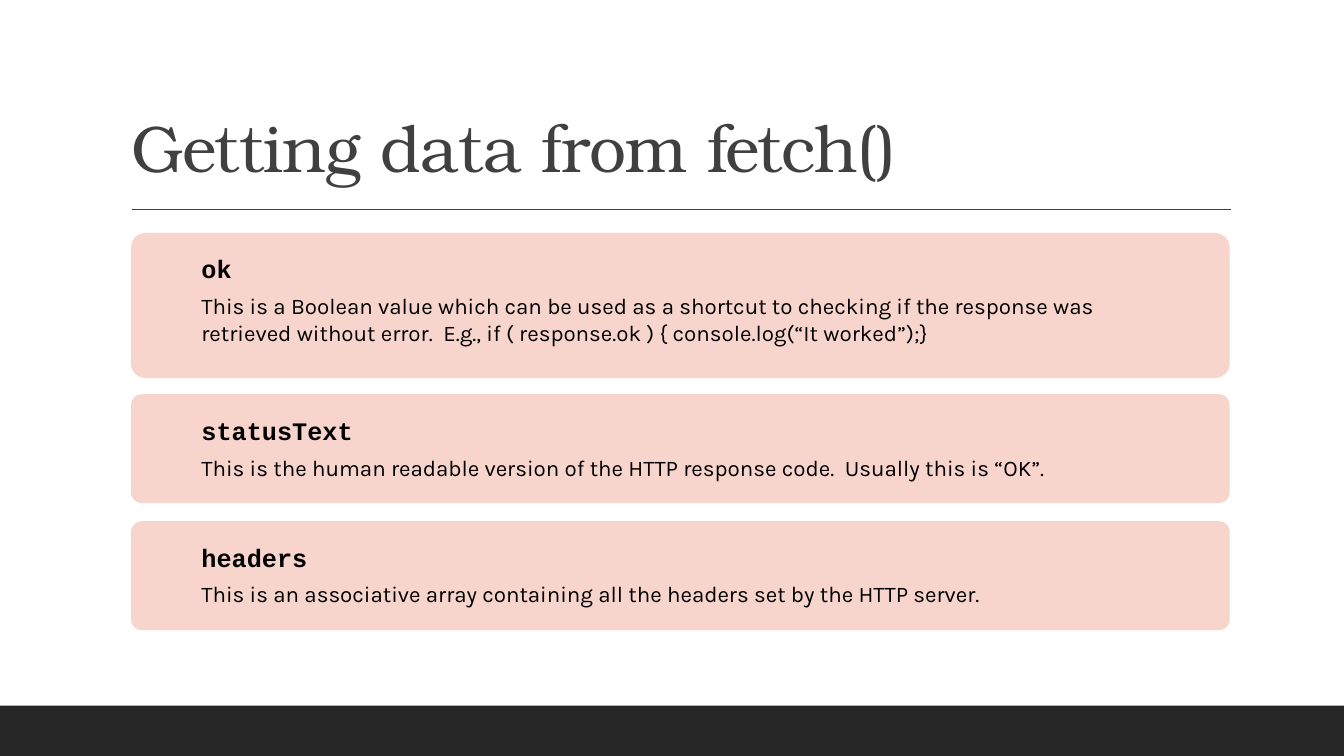
from dataclasses import dataclass

from lxml import etree
from pptx import Presentation
from pptx.dml.color import RGBColor
from pptx.enum import shapes, text
from pptx.oxml import ns
from pptx.util import Pt


@dataclass(frozen=True)
class Theme:
    ink: str = "000000"
    title: str = "404040"
    card: str = "F8D5CC"
    band: str = "262626"
    title_font: str = "TeX Gyre Bonum"
    name_font: str = "Courier New"
    body_font: str = "Karla"
    title_size: float = 47
    name_size: float = 18
    body_size: float = 16


THEME = Theme()
WIDTH, HEIGHT = 960, 540

# Response property, description, card top and card height
CARDS = [
    ("ok",
     "This is a Boolean value which can be used as a shortcut to checking if the "
     "response was retrieved without error.  E.g., if ( response.ok ) "
     "{ console.log(“It worked”);}", 166.4, 103.6),
    ("statusText",
     "This is the human readable version of the HTTP response code.  "
     "Usually this is “OK”.", 281.6, 77.8),
    ("headers",
     "This is an associative array containing all the headers set by the "
     "HTTP server.", 372.3, 77.8),
]


def write(tf, content, *, font, size, color, bold=False, spacing=None,
          line_spacing=None, anchor=text.MSO_ANCHOR.TOP):
    """Fill a text frame with one formatted, left-aligned paragraph."""
    tf.word_wrap = True
    tf.auto_size = text.MSO_AUTO_SIZE.NONE
    tf.vertical_anchor = anchor
    p = tf.paragraphs[0]
    p.alignment = text.PP_ALIGN.LEFT
    if line_spacing:
        p.line_spacing = line_spacing
    r = p.add_run()
    r.text = content
    r.font.name, r.font.size, r.font.bold = font, Pt(size), bold
    r.font.color.rgb = RGBColor.from_string(color)
    if spacing:
        r.font._element.set("spc", str(int(spacing * 100)))


def add_block(s, kind, box, color):
    """Add a flat filled shape without an outline."""
    sp = s.shapes.add_shape(kind, *map(Pt, box))
    sp.shadow.inherit = False
    sp.fill.solid()
    sp.fill.fore_color.rgb = RGBColor.from_string(color)
    sp.line.fill.background()
    return sp


def add_footer_band(s, box):
    add_block(s, shapes.MSO_SHAPE.RECTANGLE, box, THEME.band)


def add_title(s, content, box):
    left, top, width, height = box
    sp = s.shapes.title
    sp.left, sp.top, sp.width, sp.height = map(Pt, box)
    write(sp.text_frame, content, font=THEME.title_font, size=THEME.title_size,
          color=THEME.title, spacing=-0.5, line_spacing=0.9,
          anchor=text.MSO_ANCHOR.BOTTOM)

    # Rule below the title
    y = top + height + 13
    rule = s.shapes.add_connector(shapes.MSO_CONNECTOR.STRAIGHT, Pt(left + 8), Pt(y),
                                  Pt(left + width + 0.6), Pt(y))
    rule.line.color.rgb = RGBColor.from_string(THEME.title)
    rule.line.width = Pt(1)
    etree.SubElement(rule._element.spPr, ns.qn("a:effectLst"))


def add_card(s, name, description, box):
    left, top, width, height = box
    card = add_block(s, shapes.MSO_SHAPE.ROUNDED_RECTANGLE, box, THEME.card)
    card.adjustments[0] = 0.1

    # Property name above its description
    parts = [
        (name, 11.2, 29, dict(font=THEME.name_font, size=THEME.name_size, bold=True)),
        (description, 38.9, height - 38.9,
         dict(font=THEME.body_font, size=THEME.body_size)),
    ]
    for content, offset, part_height, style in parts:
        sp = s.shapes.add_textbox(Pt(left + 43.2), Pt(top + offset),
                                  Pt(width - 68.4), Pt(part_height))
        write(sp.text_frame, content, color=THEME.ink, **style)


def build_fetch_slide(prs):
    s = prs.slides.add_slide(prs.slide_layouts.get_by_name("Title Only"))
    add_footer_band(s, (0, HEIGHT - 36, WIDTH, 36))
    add_title(s, "Getting data from fetch()", (86.4, 22.3, 792, 114.5))
    for name, description, top, height in CARDS:
        add_card(s, name, description, (93.6, top, 784.8, height))


def main():
    prs = Presentation()
    prs.slide_width, prs.slide_height = Pt(WIDTH), Pt(HEIGHT)
    build_fetch_slide(prs)
    prs.save("out.pptx")


if __name__ == "__main__":
    main()
